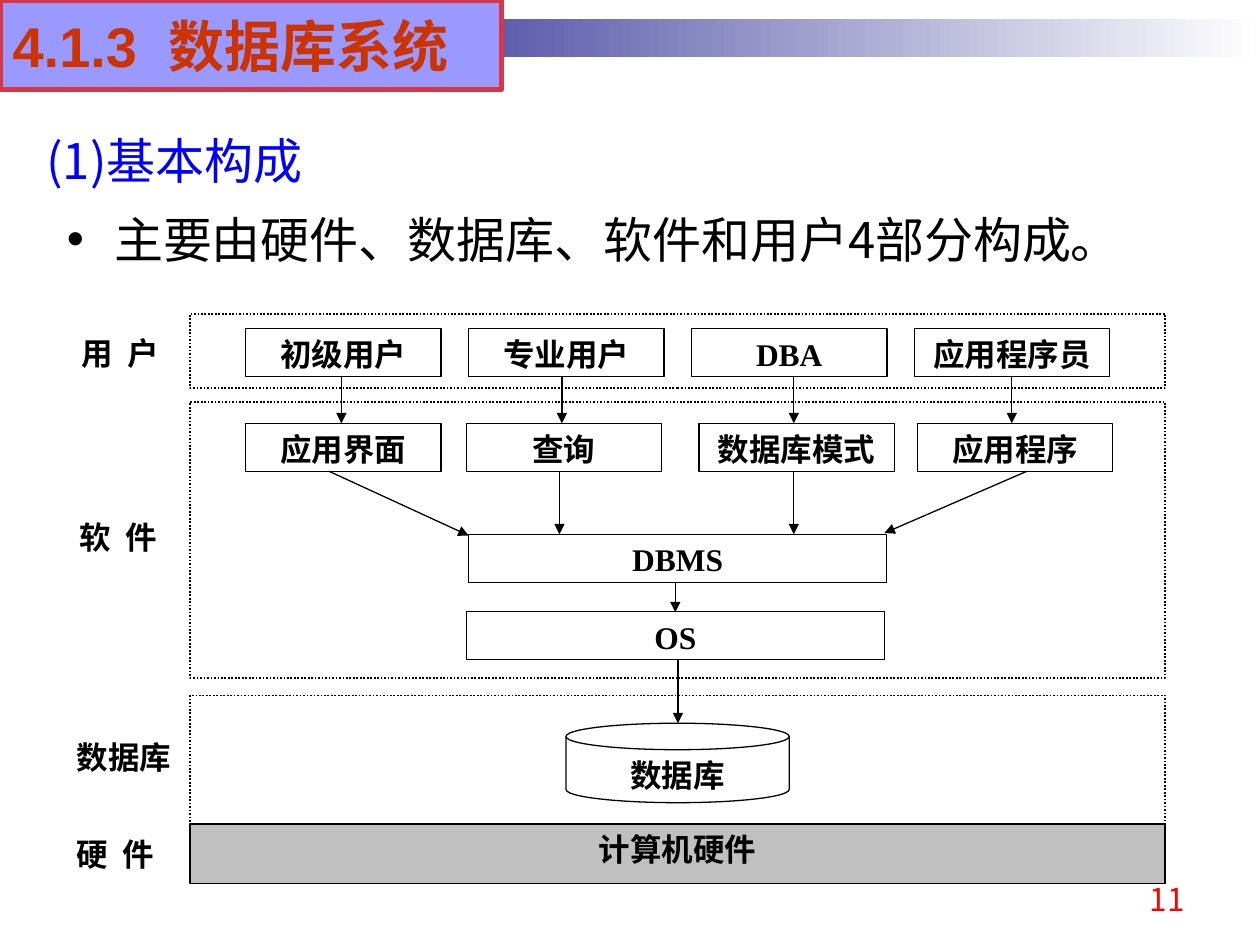
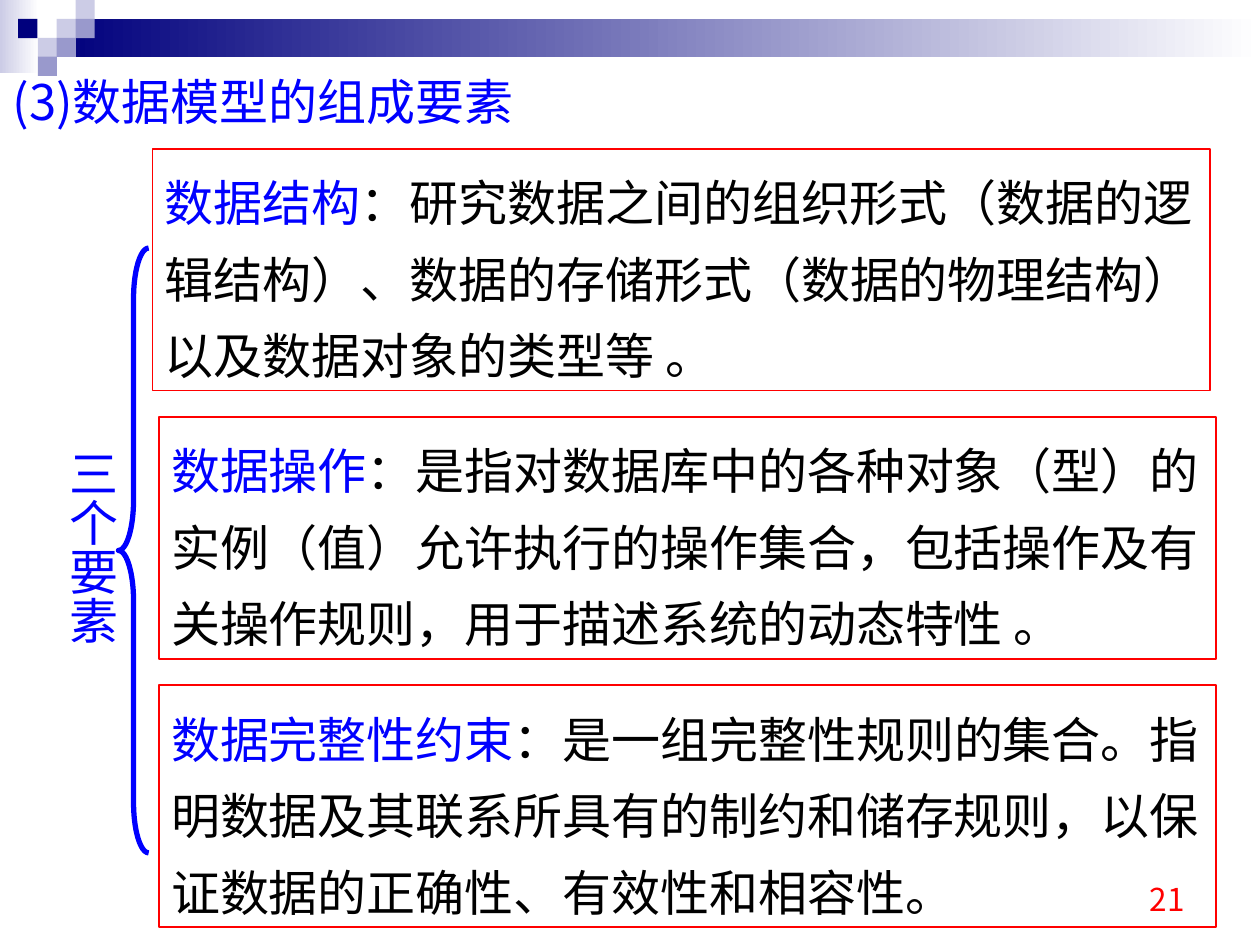
"""Build two slides on database systems: their structure and data models."""
from dataclasses import dataclass
from typing import NamedTuple, Optional

from lxml import etree
from pptx import Presentation
from pptx.dml.color import RGBColor
from pptx.enum import dml, shapes, text
from pptx.oxml import ns
from pptx.util import Pt

NAVY = RGBColor(0x00, 0x00, 0x7D)
LILAC = RGBColor(0xCC, 0xCC, 0xE6)
MAUVE = RGBColor(0x99, 0x99, 0xCC)
PERI = RGBColor(0x99, 0x99, 0xFF)
CRIMSON = RGBColor(0xD6, 0x36, 0x45)
RUST = RGBColor(0xCC, 0x33, 0x00)
BLUE = RGBColor(0x00, 0x00, 0xFF)
RED = RGBColor(0xFF, 0x00, 0x00)
GREY = RGBColor(0xC0, 0xC0, 0xC0)
BLACK = RGBColor(0x00, 0x00, 0x00)
WHITE = RGBColor(0xFF, 0xFF, 0xFF)

HAN = "Noto Sans CJK SC"
KIND = shapes.MSO_SHAPE
ALIGN = text.PP_ALIGN
ANCHOR = text.MSO_ANCHOR


class Area(NamedTuple):
    x: float
    y: float
    w: float
    h: float


class Arrow(NamedTuple):
    x1: float
    y1: float
    x2: float
    y2: float


class Tile(NamedTuple):
    x: float
    y: float
    color: RGBColor


@dataclass(frozen=True)
class Style:
    size: float = 28
    color: RGBColor = BLACK
    face: str = HAN
    bold: bool = False
    align: ALIGN = ALIGN.LEFT
    space: float = 1.0


@dataclass(frozen=True)
class Box:
    area: Area
    words: str = ""
    fill: Optional[RGBColor] = WHITE
    line: Optional[RGBColor] = BLACK
    width: float = 0.75
    dash: bool = False
    kind: KIND = KIND.RECTANGLE
    align: ALIGN = ALIGN.CENTER


@dataclass(frozen=True)
class Part:
    area: Area
    term: str
    words: str


HEAD = Style(color=BLUE)
BODY = Style(space=1.3)
BANNER = Style(32, RUST, "Arial", True)
NUMBER = Style(18, RED, align=ALIGN.RIGHT)

SIDE = 11
TILES = [
    Tile(43.2, 0, LILAC), Tile(32.4, 10.8, LILAC), Tile(43.2, 10.8, MAUVE),
    Tile(21.6, 21.6, LILAC), Tile(10.4, 10.8, NAVY),
    Tile(32.4, 21.6, MAUVE), Tile(21.6, 32.4, MAUVE),
]

HIGH = 27.4
WIDE = 111.6
LEFT, SPAN = 108.6, 557.3
USERS = ["初级用户", "专业用户", "DBA", "应用程序员"]
TOOLS = [(140.4, "应用界面"), (266.4, "查询"),
         (399.4, "数据库模式"), (524.2, "应用程序")]
LABELS = [(39.6, 187.2, "用  户"), (38.2, 292.3, "软  件"),
          (36.7, 418.3, "数据库"), (36.7, 473.8, "硬  件")]
PANELS = [(397.4, 73.4), (229.7, 157.7), (179.3, 42.5)]
DROPS = [195.1, 321.1, 453.6, 578.2]
ARROWS = [Arrow(x, 214.6, x, 241.9) for x in DROPS] + [
    Arrow(188, 269.3, 267.8, 306), Arrow(586.8, 269.3, 505.4, 304.6),
    Arrow(319.7, 269.3, 319.7, 305.3), Arrow(453.6, 269.3, 453.6, 305.3),
    Arrow(385.9, 332.6, 385.9, 349.9), Arrow(387.4, 377.3, 387.4, 413.3),
]

PARTS = [
    Part(Area(87.2, 85, 604.1, 138.2), "数据结构",
         "：研究数据之间的组织形式（数据的逻辑结构）、数据的存储形式"
         "（数据的物理结构）以及数据对象的类型等 。"),
    Part(Area(90.7, 238.3, 604.1, 138.2), "数据操作",
         "：是指对数据库中的各种对象（型）的实例（值）允许执行的操作集合，"
         "包括操作及有关操作规则，用于描述系统的动态特性 。"),
    Part(Area(90.7, 391.6, 604.1, 138.2), "数据完整性约束",
         "：是一组完整性规则的集合。指明数据及其联系所具有的制约和储存规则，"
         "以保证数据的正确性、有效性和相容性。"),
]


def points(area: Area) -> list:
    return [Pt(side) for side in area]


def style(para, look: Style) -> None:
    para.alignment = look.align
    para.line_spacing = look.space
    para.space_before = Pt(0)
    font = para.font
    font.size, font.bold, font.name = Pt(look.size), look.bold, look.face
    font.color.rgb = look.color
    base = para._p.get_or_add_pPr().get_or_add_defRPr()
    etree.SubElement(base, ns.qn("a:ea")).set("typeface", HAN)


def write(shape, words: str, look: Style, anchor=ANCHOR.TOP, wrap=True):
    frame = shape.text_frame
    frame.auto_size = text.MSO_AUTO_SIZE.NONE
    frame.word_wrap = wrap
    frame.vertical_anchor = anchor
    frame.text = words
    style(frame.paragraphs[0], look)
    return frame


def place(shape, area: Area) -> None:
    shape.left, shape.top, shape.width, shape.height = points(area)


def note(slide, area: Area, words: str, look: Style, anchor=ANCHOR.TOP):
    return write(slide.shapes.add_textbox(*points(area)), words, look, anchor)


def draw(slide, box: Box):
    shape = slide.shapes.add_shape(box.kind, *points(box.area))
    shape.shadow.inherit = False
    if box.fill is None:
        shape.fill.background()
    else:
        shape.fill.solid()
        shape.fill.fore_color.rgb = box.fill
    if box.line is None:
        shape.line.fill.background()
    else:
        shape.line.color.rgb = box.line
        shape.line.width = Pt(box.width)
        if box.dash:
            shape.line.dash_style = dml.MSO_LINE.ROUND_DOT
    if box.words:
        write(shape, box.words,
              Style(18, face="Times New Roman", bold=True, align=box.align))
    return shape


def fade(slide, area: Area, color: RGBColor) -> None:
    fill = draw(slide, Box(area, line=None)).fill
    fill.gradient()
    fill.gradient_angle = 180
    for stop, tint in zip(fill.gradient_stops, (WHITE, color)):
        stop.color.rgb = tint


def point(slide, arrow: Arrow) -> None:
    link = slide.shapes.add_connector(
        shapes.MSO_CONNECTOR.STRAIGHT, *[Pt(end) for end in arrow])
    link.line.color.rgb = BLACK
    link.line.width = Pt(0.75)
    tip = etree.SubElement(link.line._get_or_add_ln(), ns.qn("a:tailEnd"))
    tip.set("type", "triangle")
    etree.SubElement(link.element.spPr, ns.qn("a:effectLst"))


def start(deck, layout: int, tiles: list):
    slide = deck.slides.add_slide(deck.slide_layouts[layout])
    fade(slide, Area(0, 0, 22.3, 41.8), LILAC)
    fade(slide, Area(32.4, 10.8, 687.6, 21.6), NAVY)
    for tile in tiles:
        draw(slide, Box(Area(tile.x, tile.y, SIDE, SIDE), fill=tile.color, line=None))
    slide.shapes.element.append(slide.shapes.title.element)
    return slide


def number(slide, words: str) -> None:
    note(slide, Area(516.2, 491.8, 167.8, 36), words, NUMBER, ANCHOR.BOTTOM)


def system(deck) -> None:
    slide = start(deck, 1, TILES[:1])
    title, body = slide.placeholders
    place(title, Area(0, 0, 286.6, 51.1))
    title.fill.solid()
    title.fill.fore_color.rgb = PERI
    title.line.color.rgb = CRIMSON
    title.line.width = Pt(3)
    write(title, "4.1.3  数据库系统", BANNER, ANCHOR.MIDDLE, False)

    place(body, Area(31, 105.8, 640.8, 51.1))
    props = body.text_frame.paragraphs[0]._p.get_or_add_pPr()
    props.set("marL", "0")
    props.set("indent", "0")
    etree.SubElement(props, ns.qn("a:buNone"))
    write(body, "主要由硬件、数据库、软件和用户4部分构成。", BODY)

    boxes = [Box(Area(x, y, 79.9, HIGH), words, line=None, align=ALIGN.JUSTIFY)
             for x, y, words in LABELS]
    boxes += [Box(Area(LEFT, y, SPAN, h), width=1, dash=True) for y, h in PANELS]
    boxes += [Box(Area(140.4 + 127.4 * i, 187.7, WIDE, HIGH), words)
              for i, words in enumerate(USERS)]
    boxes += [Box(Area(x, 241.9, WIDE, HIGH), words) for x, words in TOOLS]
    boxes += [
        Box(Area(267.8, 305.3, 239, HIGH), "DBMS"),
        Box(Area(266.4, 349.4, 239, HIGH), "OS"),
        Box(Area(323.4, 413.3, 127.6, 45.4), "数据库",
            kind=KIND.FLOWCHART_MAGNETIC_DISK),
        Box(Area(LEFT, 470.9, SPAN, 34), "计算机硬件", GREY, width=1),
    ]
    for box in boxes:
        draw(slide, box)
    for arrow in ARROWS:
        point(slide, arrow)
    note(slide, Area(19.4, 71.3, 334.8, 41), "(1)基本构成", HEAD)
    number(slide, "11")


def model(deck) -> None:
    slide = start(deck, 5, TILES)
    title = slide.shapes.title
    place(title, Area(0, 37.4, 334.8, 41))
    write(title, "(3)数据模型的组成要素", HEAD)

    frame = note(slide, Area(25.9, 249.8, 47.5, 136.1), "三个要素",
                 Style(color=BLUE, align=ALIGN.CENTER))
    frame.margin_left = frame.margin_right = Pt(3.6)
    frame.margin_top = frame.margin_bottom = Pt(7.2)
    frame._txBody.bodyPr.set("vert", "eaVert")

    brace = draw(slide, Box(Area(67.7, 141.8, 17.3, 345.6), fill=None,
                            line=BLUE, width=3, kind=KIND.LEFT_BRACE))
    brace.adjustments[0] = 1.67
    for part in PARTS:
        shape = draw(slide, Box(part.area, fill=None, line=RED, width=1))
        para = write(shape, part.term, BODY).paragraphs[0]
        para.runs[0].font.color.rgb = BLUE
        rest = para.add_run()
        rest.text = part.words
        rest.font.color.rgb = BLACK
    number(slide, "21")


def main() -> None:
    deck = Presentation()
    deck.slide_width, deck.slide_height = Pt(720), Pt(540)
    system(deck)
    model(deck)
    deck.save("out.pptx")


if __name__ == "__main__":
    main()
